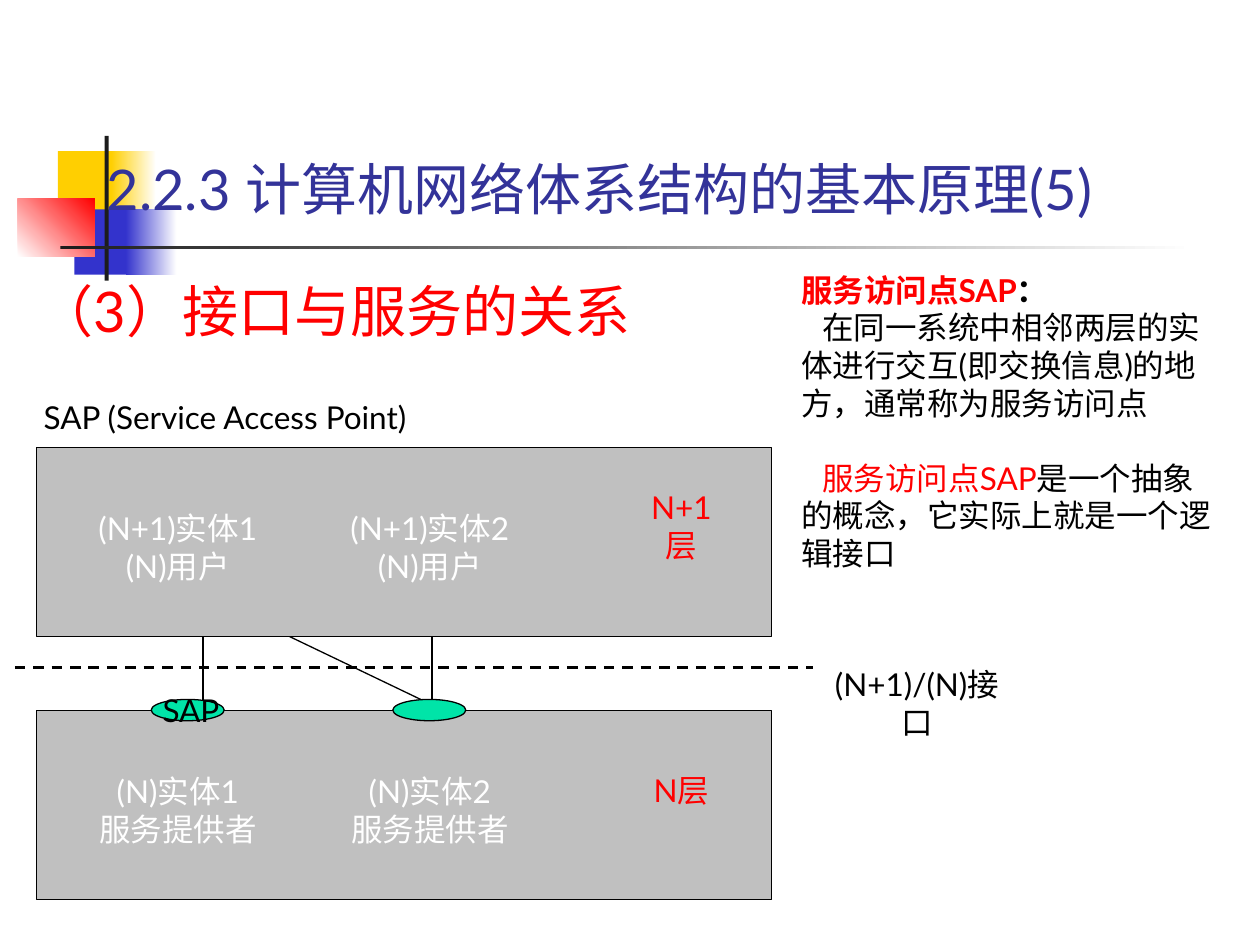
import dataclasses
import typing

import pptx
import pptx.dml.color
import pptx.enum.dml
import pptx.enum.shapes
import pptx.enum.text
import pptx.oxml.ns
import pptx.util
from lxml import etree
from pptx.util import Cm

Form = pptx.enum.shapes.MSO_SHAPE
Align = pptx.enum.text.PP_ALIGN
Anchor = pptx.enum.text.MSO_ANCHOR

FONT = "Lato"
BLACK, WHITE, RED = "000000", "FFFFFF", "FF0000"
GRAY, GREEN, NAVY = "C0C0C0", "00E4A8", "333399"
GOLD, BLUE, DARK = "FFCF01", "3333CC", "1C1C1C"


class Box(typing.NamedTuple):
    """Left, top, width and height in centimetres."""
    x: float
    y: float
    w: float
    h: float

    def emu(self) -> list:
        return [Cm(v) for v in self]


@dataclasses.dataclass
class Block:
    box: Box
    fill: str
    end: str = ""
    angle: int = 0


@dataclasses.dataclass
class Label:
    box: Box
    text: str
    color: str = BLACK
    size: int = 18
    align: typing.Any = Align.CENTER
    anchor: typing.Any = Anchor.MIDDLE
    wrap: bool = False


@dataclasses.dataclass
class Layer:
    top: float
    name: str
    prefix: str
    role: str


class Link(typing.NamedTuple):
    x1: float
    y1: float
    x2: float
    y2: float
    width: float = 0.75
    dash: bool = False


class Span(typing.NamedTuple):
    text: str
    color: str = BLACK
    bold: bool = False


BLOCKS = [
    Block(Box(1.17, 3.05, 1.22, 1.32), GOLD),
    Block(Box(2.24, 3.05, 0.91, 1.32), GOLD, WHITE),
    Block(Box(1.5, 4.22, 1.17, 1.32), BLUE),
    Block(Box(2.54, 4.22, 1.02, 1.32), BLUE, WHITE),
    Block(Box(0.36, 4.01, 1.55, 1.17), WHITE, RED, 45),
    Block(Box(2.11, 2.74, 0.08, 2.92), DARK),
    Block(Box(1.22, 4.95, 22.86, 0.08), DARK, WHITE),
]
LINKS = [
    Link(4.09, 14.22, 4.09, 11.89),
    Link(4.29, 12.09, 9.17, 14.43),
    Link(8.71, 11.89, 8.71, 14.22),
]
BORDER = Link(0.3, 13.46, 16.38, 13.46, 1.5, True)
LAYERS = [
    Layer(9.02, "N+1层", "(N+1)", "(N)用户"),
    Layer(14.33, "N层", "(N)", "服务提供者"),
]
LABELS = [
    Label(Box(3, 13.77, 1.7, 1.07), "SAP"),
    Label(Box(16.48, 13.44, 4.01, 1.47), "(N+1)/(N)接口"),
    Label(Box(0.63, 7.9, 8.18, 1.02), "SAP (Service Access Point)",
          align=Align.LEFT, anchor=Anchor.TOP),
    Label(Box(0.51, 5.61, 18.62, 1.6), "（3）接口与服务的关系", RED, 32,
          Align.LEFT, Anchor.TOP, True),
    Label(Box(1.9, 1.73, 22.61, 2.87), "2.2.3 计算机网络体系结构的基本原理(5)",
          NAVY, 32, Align.LEFT, Anchor.BOTTOM, True),
]
# Each paragraph: first-line indent in cm, space before in points, spans
NOTE = [
    (0, 0, [Span("服务访问点SAP", RED, True), Span("：", BLACK, True)]),
    (0.43, 0, [Span("在同一系统中相邻两层的实体进行交互(即交换信息)的地方，通常称为服务访问点")]),
    (0.43, 21, [Span("服务访问点SAP", RED),
                Span("是一个抽象的概念，它实际上就是一个逻辑接口")]),
]


def tint(code: str) -> pptx.dml.color.RGBColor:
    return pptx.dml.color.RGBColor.from_string(code)


def style(font, color: str, size: int = 18, bold: bool = False) -> None:
    font.name = FONT
    font.size = pptx.util.Pt(size)
    font.bold = bold
    font.color.rgb = tint(color)


def draw_shape(slide, form, box: Box, fill: str, edge: str = ""):
    shape = slide.shapes.add_shape(form, *box.emu())
    shape.shadow.inherit = False
    shape.fill.solid()
    shape.fill.fore_color.rgb = tint(fill)
    if edge:
        shape.line.color.rgb = tint(edge)
        shape.line.width = pptx.util.Pt(0.75)
    else:
        shape.line.fill.background()
    return shape


def draw_block(slide, block: Block) -> None:
    shape = draw_shape(slide, Form.RECTANGLE, block.box, block.fill)
    if block.end:
        shape.fill.gradient()
        shape.fill.gradient_angle = block.angle
        for stop, code, spot in zip(shape.fill.gradient_stops,
                                    (block.fill, block.end), (0, 1)):
            stop.color.rgb = tint(code)
            stop.position = spot


def write(shape, label: Label) -> None:
    frame = shape.text_frame
    frame.word_wrap = label.wrap
    frame.vertical_anchor = label.anchor
    frame.text = label.text
    for para in frame.paragraphs:
        para.alignment = label.align
        for run in para.runs:
            style(run.font, label.color, label.size)


def draw_label(slide, label: Label) -> None:
    write(slide.shapes.add_textbox(*label.box.emu()), label)


def draw_link(slide, link: Link) -> None:
    ends = [Cm(v) for v in link[:4]]
    line = slide.shapes.add_connector(
        pptx.enum.shapes.MSO_CONNECTOR.STRAIGHT, *ends)
    line.line.color.rgb = tint(BLACK)
    line.line.width = pptx.util.Pt(link.width)
    if link.dash:
        line.line.dash_style = pptx.enum.dml.MSO_LINE.DASH
    etree.SubElement(line._element.spPr, pptx.oxml.ns.qn("a:effectLst"))


def draw_layer(slide, layer: Layer) -> None:
    draw_shape(slide, Form.RECTANGLE, Box(0.74, layer.top, 14.81, 3.81),
               GRAY, BLACK)
    for i in range(2):
        box = Box(1.78 + 5.08 * i, layer.top + 1.27, 3.61, 1.47)
        text = f"{layer.prefix}实体{i + 1}\n{layer.role}"
        write(draw_shape(slide, Form.RECTANGLE, box, GRAY),
              Label(box, text, WHITE))
    draw_label(slide, Label(Box(12.78, layer.top + 1.05, 1.91, 1.07),
                            layer.name, RED))


def draw_note(slide, box: Box) -> None:
    frame = slide.shapes.add_textbox(*box.emu()).text_frame
    frame.word_wrap = True
    for i, (indent, gap, spans) in enumerate(NOTE):
        para = frame.add_paragraph() if i else frame.paragraphs[0]
        if indent:
            para._p.get_or_add_pPr().set("indent", str(Cm(indent)))
        if gap:
            para.space_before = pptx.util.Pt(gap)
        for span in spans:
            run = para.add_run()
            run.text = span.text
            style(run.font, span.color, bold=span.bold)


def main() -> None:
    deck = pptx.Presentation()
    deck.slide_width, deck.slide_height = Cm(25.4), Cm(19.05)
    slide = deck.slides.add_slide(deck.slide_layouts[6])
    for block in BLOCKS:
        draw_block(slide, block)
    for link in LINKS:
        draw_link(slide, link)
    for layer in LAYERS:
        draw_layer(slide, layer)
    for left in (3.05, 7.92):
        draw_shape(slide, Form.OVAL, Box(left, 14.1, 1.47, 0.43), GREEN, BLACK)
    draw_link(slide, BORDER)
    for label in LABELS:
        draw_label(slide, label)
    slide.shapes[-2].text_frame.paragraphs[0].line_spacing = 0.9
    draw_note(slide, Box(15.9, 5.33, 8.79, 6.35))
    deck.save("out.pptx")


if __name__ == "__main__":
    main()
